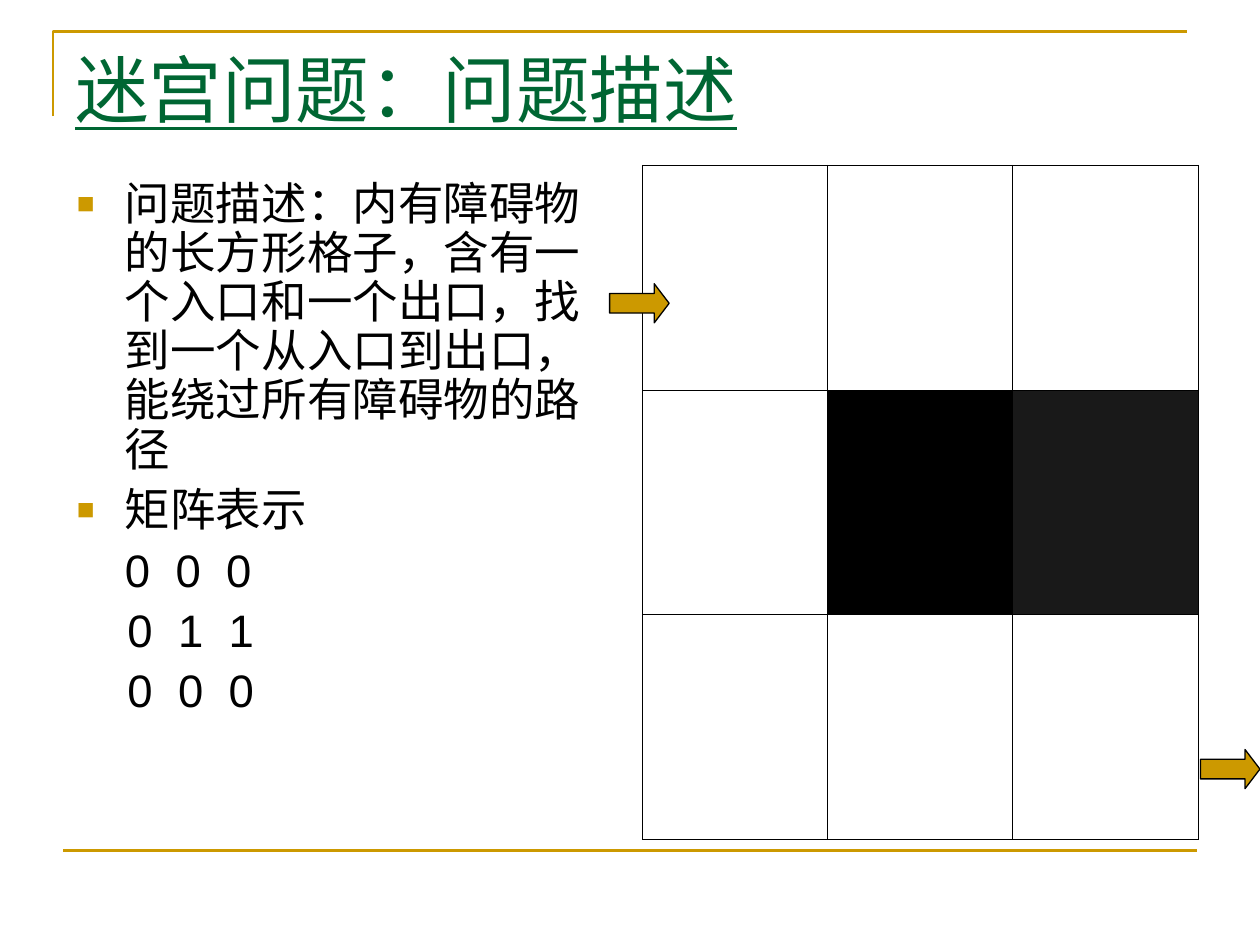
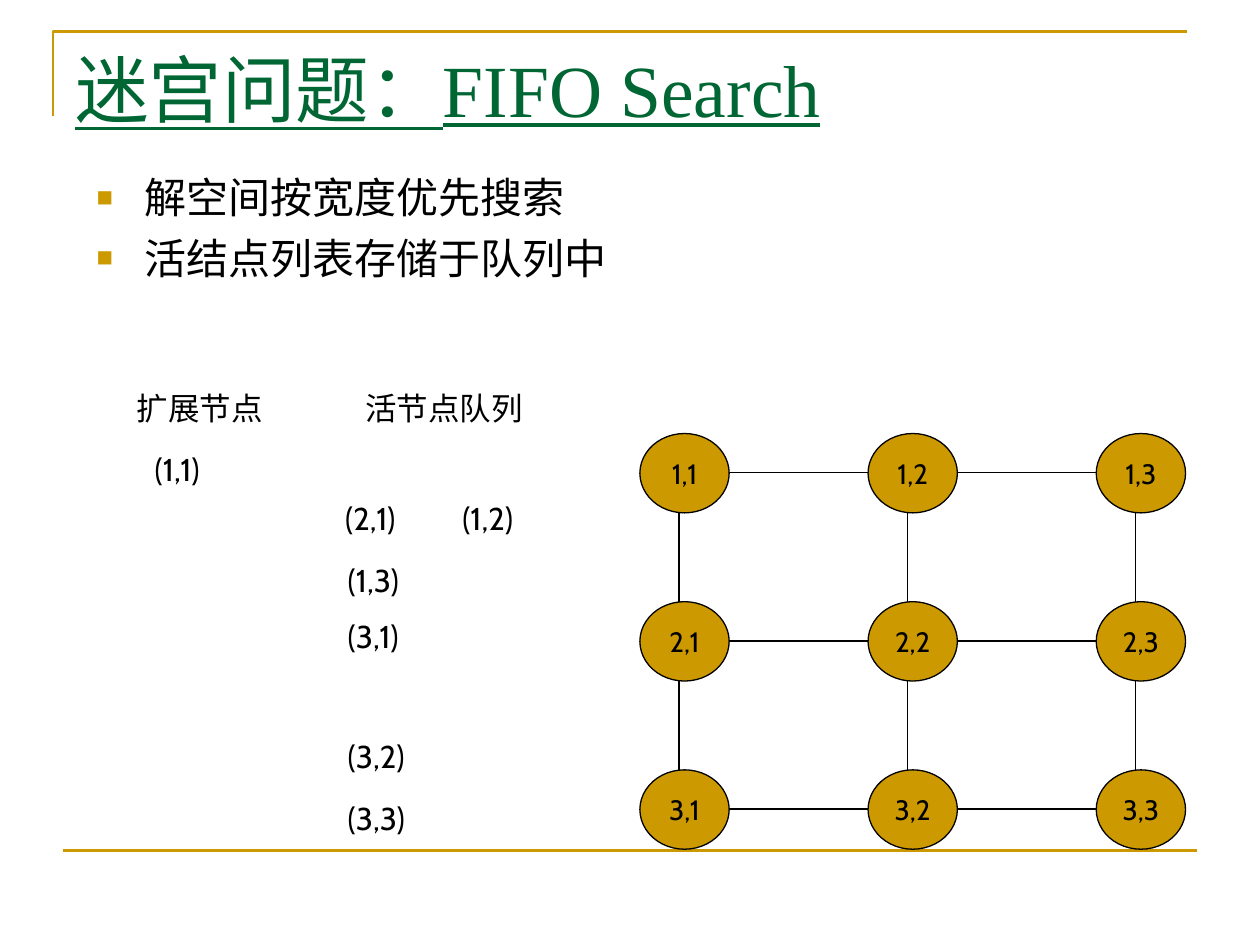
from dataclasses import dataclass
from itertools import product

from lxml.etree import SubElement
from pptx import Presentation
from pptx.dml.color import RGBColor
from pptx.enum.shapes import MSO_CONNECTOR, MSO_SHAPE
from pptx.enum.text import MSO_ANCHOR, PP_ALIGN
from pptx.oxml.ns import qn
from pptx.util import Cm, Pt

GOLD = RGBColor(0xCC, 0x99, 0x00)
GREEN = RGBColor(0x00, 0x66, 0x33)
BLACK = RGBColor(0x00, 0x00, 0x00)
CHARCOAL = RGBColor(0x19, 0x19, 0x19)

TITLE_FONT = "Times New Roman"
BODY_FONT = "Arial"
LABEL_FONT = "Cabin"
HANGING = Cm(0.97)


@dataclass(frozen=True)
class Box:
    left: float
    top: float
    width: float
    height: float

    def lengths(self):
        return Cm(self.left), Cm(self.top), Cm(self.width), Cm(self.height)


@dataclass(frozen=True)
class Label:
    text: str
    left: float
    top: float
    width: float = 1.78


@dataclass(frozen=True)
class MatrixRow:
    digits: str
    indent: float


TITLE_BOX = Box(1.27, 0.76, 22.86, 1.96)
MAZE_BOX = Box(12.95, 3.33, 11.2, 13.59)
MAZE_SIZE = 3
WALLS = {(1, 1): BLACK, (1, 2): CHARCOAL}
GATES = [Box(12.29, 5.72, 1.2, 0.79), Box(24.2, 15.11, 1.2, 0.79)]

MATRIX_ROWS = [
    MatrixRow("000", 0.97),
    MatrixRow("011", 1.02),
    MatrixRow("000", 1.02),
]
DIGIT_STEP = 1.02

NODE_LEFT, NODE_TOP = 12.9, 8.74
NODE_WIDTH, NODE_HEIGHT = 1.8, 1.6
COLUMN_STEP, ROW_STEP = 4.6, 3.39
EDGE_OFFSET = 0.79

QUEUE_LABELS = [
    Label("扩展节点", 2.51, 7.72, 3.05),
    Label("活节点队列", 7.11, 7.72, 3.68),
    Label("(1,1)", 2.87, 8.94),
    Label("(2,1)", 6.71, 9.93, 1.88),
    Label("(1,2)", 9.07, 9.93),
    Label("(1,3)", 6.76, 11.18),
    Label("(3,1)", 6.76, 12.32),
    Label("(3,2)", 6.76, 14.73),
    Label("(3,3)", 6.76, 15.98),
]


def format_font(p, name: str, size: float, color: RGBColor = BLACK) -> None:
    for r in p.runs:
        r.font.name = name
        r.font.size = Pt(size)
        r.font.color.rgb = color


def add_line(slide, x1: float, y1: float, x2: float, y2: float,
             color: RGBColor = BLACK, width: float = 0.75) -> None:
    s = slide.shapes.add_connector(MSO_CONNECTOR.STRAIGHT, Cm(x1), Cm(y1), Cm(x2), Cm(y2))
    s.line.color.rgb = color
    s.line.width = Pt(width)
    SubElement(s._element.spPr, qn("a:effectLst"))


def add_gold_shape(slide, kind: MSO_SHAPE, box: Box):
    s = slide.shapes.add_shape(kind, *box.lengths())
    s.shadow.inherit = False
    s.fill.solid()
    s.fill.fore_color.rgb = GOLD
    s.line.color.rgb = BLACK
    s.line.width = Pt(0.75)
    return s


def add_text_box(slide, box: Box, wrap: bool = True):
    tf = slide.shapes.add_textbox(*box.lengths()).text_frame
    tf.word_wrap = wrap
    return tf


def add_frame(slide) -> None:
    builder = slide.shapes.build_freeform(Cm(1.07), Cm(2.34))
    builder.add_line_segments([(Cm(1.07), Cm(0.64)), (Cm(23.93), Cm(0.64))], close=False)
    s = builder.convert_to_shape()
    s.shadow.inherit = False
    s.fill.background()
    s.line.color.rgb = GOLD
    s.line.width = Pt(1.5)
    add_line(slide, 1.27, 17.15, 24.13, 17.15, GOLD, 1.5)


def add_titled_slide(prs, title: str):
    slide = prs.slides.add_slide(prs.slide_layouts[6])
    add_frame(slide)
    p = add_text_box(slide, TITLE_BOX).paragraphs[0]
    p.text = title
    format_font(p, TITLE_FONT, 42, GREEN)
    p.runs[0].font.underline = True
    return slide


def add_bullet(p) -> None:
    pPr = p._p.get_or_add_pPr()
    pPr.set("marL", str(HANGING))
    pPr.set("indent", str(-HANGING))
    SubElement(SubElement(pPr, qn("a:buClr")), qn("a:srgbClr"), val=str(GOLD))
    SubElement(pPr, qn("a:buSzPct"), val="65000")
    SubElement(pPr, qn("a:buFont"), typeface=BODY_FONT)
    SubElement(pPr, qn("a:buChar"), char="■")


def add_tabs(p, row: MatrixRow) -> None:
    tabs = SubElement(p._p.get_or_add_pPr(), qn("a:tabLst"))
    for i in range(len(row.digits)):
        SubElement(tabs, qn("a:tab"), pos=str(Cm(row.indent + i * DIGIT_STEP)), algn="l")


def add_body(slide, box: Box, bullets: list[str], size: float, space: float,
             line_spacing: float = 1.0, matrix: list[MatrixRow] = ()) -> None:
    tf = add_text_box(slide, box)
    for i, item in enumerate([*bullets, *matrix]):
        p = tf.add_paragraph() if i else tf.paragraphs[0]
        if isinstance(item, MatrixRow):
            add_tabs(p, item)
            p.text = "".join("\t" + digit for digit in item.digits)
        else:
            add_bullet(p)
            p.text = item
        p.line_spacing = line_spacing
        if i:
            p.space_before = Pt(space)
        format_font(p, BODY_FONT, size)


def add_cell_borders(cell) -> None:
    tcPr = cell._tc.get_or_add_tcPr()
    for side in ("lnL", "lnR", "lnT", "lnB"):
        ln = SubElement(tcPr, qn("a:" + side), w=str(Pt(0.45)))
        SubElement(SubElement(ln, qn("a:solidFill")), qn("a:srgbClr"), val=str(BLACK))


def add_maze(slide) -> None:
    table = slide.shapes.add_table(MAZE_SIZE, MAZE_SIZE, *MAZE_BOX.lengths()).table
    table.first_row = False
    table.horz_banding = False
    for row, column in product(range(MAZE_SIZE), repeat=2):
        cell = table.cell(row, column)
        add_cell_borders(cell)
        if (row, column) in WALLS:
            cell.fill.solid()
            cell.fill.fore_color.rgb = WALLS[row, column]
        else:
            cell.fill.background()
    for gate in GATES:
        s = add_gold_shape(slide, MSO_SHAPE.RIGHT_ARROW, gate)
        s.adjustments[1] = 0.38


def add_node(slide, text: str, left: float, top: float) -> None:
    s = add_gold_shape(slide, MSO_SHAPE.OVAL, Box(left, top, NODE_WIDTH, NODE_HEIGHT))
    tf = s.text_frame
    tf.word_wrap = False
    tf.vertical_anchor = MSO_ANCHOR.MIDDLE
    tf.text = text
    p = tf.paragraphs[0]
    p.alignment = PP_ALIGN.CENTER
    format_font(p, LABEL_FONT, 16)


def add_node_grid(slide) -> None:
    last = MAZE_SIZE - 1
    for row, column in product(range(MAZE_SIZE), repeat=2):
        left = NODE_LEFT + column * COLUMN_STEP
        top = NODE_TOP + row * ROW_STEP
        add_node(slide, f"{row + 1},{column + 1}", left, top)
        if row < last:
            x = left + EDGE_OFFSET
            add_line(slide, x, top + NODE_HEIGHT, x, top + ROW_STEP)
        if column < last:
            y = top + EDGE_OFFSET
            add_line(slide, left + NODE_WIDTH, y, left + COLUMN_STEP, y)


def add_label(slide, label: Label) -> None:
    tf = add_text_box(slide, Box(label.left, label.top, label.width, 1.02), wrap=False)
    tf.text = label.text
    format_font(tf.paragraphs[0], LABEL_FONT, 18)


def build_description(prs) -> None:
    slide = add_titled_slide(prs, "迷宫问题：问题描述")
    bullets = [
        "问题描述：内有障碍物的长方形格子，含有一个入口和一个出口，"
        "找到一个从入口到出口，能绕过所有障碍物的路径",
        "矩阵表示",
    ]
    add_body(slide, Box(1.3, 3.53, 10.82, 11.71), bullets, 26, 6.5, 0.9, MATRIX_ROWS)
    add_maze(slide)


def build_search(prs) -> None:
    slide = add_titled_slide(prs, "迷宫问题：FIFO Search")
    add_node_grid(slide)
    bullets = ["解空间按宽度优先搜索", "活结点列表存储于队列中"]
    add_body(slide, Box(1.7, 3.33, 13, 3), bullets, 24, 6)
    for label in QUEUE_LABELS:
        add_label(slide, label)


def main() -> None:
    prs = Presentation()
    prs.slide_width = Cm(25.4)
    prs.slide_height = Cm(19.05)
    build_description(prs)
    build_search(prs)
    prs.save("out.pptx")


if __name__ == "__main__":
    main()
